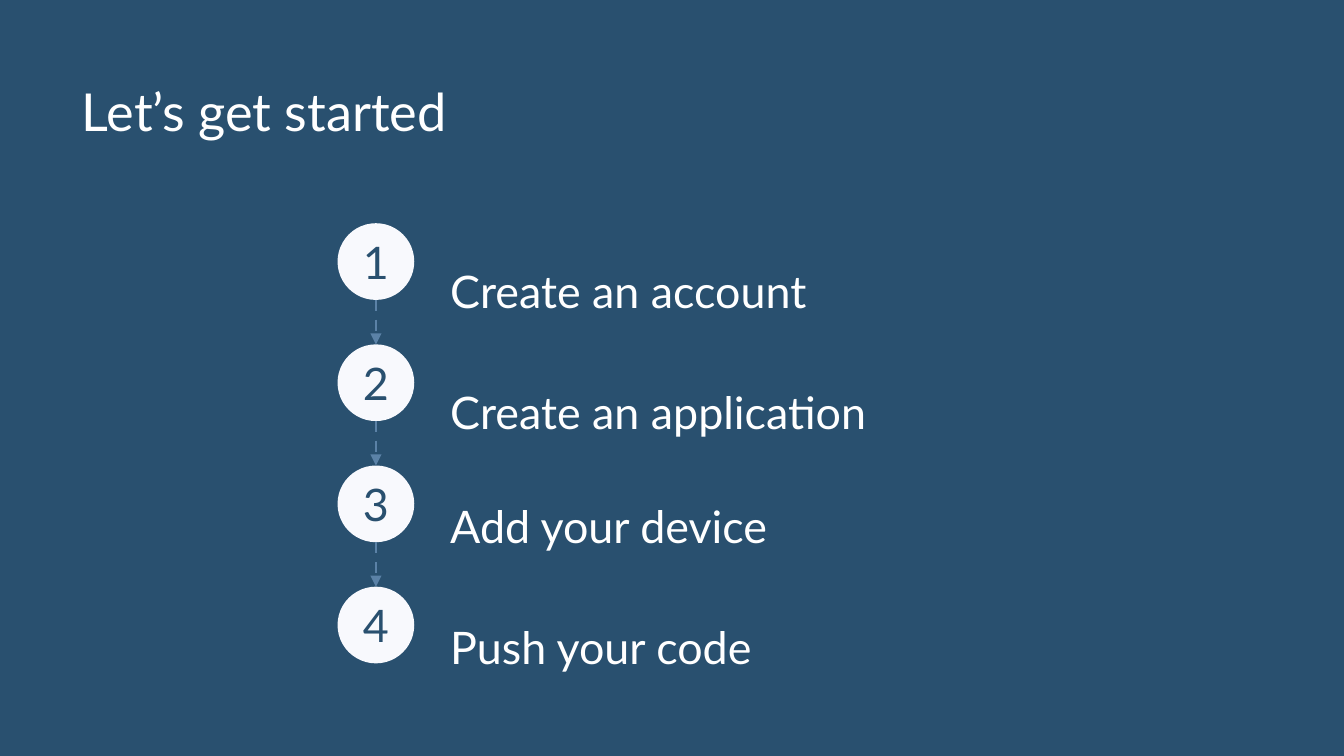
"""Build a slide that lists four numbered steps for getting started."""
from dataclasses import dataclass
from itertools import pairwise

from lxml.etree import SubElement
from pptx import Presentation
from pptx.dml.color import RGBColor
from pptx.enum.dml import MSO_LINE
from pptx.enum.shapes import MSO_CONNECTOR as Connector, MSO_SHAPE as ShapeKind
from pptx.enum.text import MSO_ANCHOR as Anchor, PP_ALIGN as Align
from pptx.oxml.ns import qn
from pptx.shapes.autoshape import Shape
from pptx.slide import Slide
from pptx.util import Cm, Pt

FONT = "Lato"
NAVY, WHITE, PALE, STEEL = "29506F", "FFFFFF", "F8F9FD", "5B82A7"
CIRCLE_LEFT, DIAMETER = 6.38, 1.45
FIRST_TOP, PITCH = 4.22, 2.29
LABEL_LEFT, LABEL_WIDTH, LABEL_HEIGHT = 8.26, 9.42, 1.7


@dataclass
class Step:
    number: int
    label: str
    label_lift: float = 0

    @property
    def top(self) -> float:
        return FIRST_TOP + (self.number - 1) * PITCH


STEPS = [
    Step(1, "Create an account"),
    Step(2, "Create an application"),
    Step(3, "Add your device", label_lift=0.14),
    Step(4, "Push your code", label_lift=0.14),
]


def paint(color_format, color: str) -> None:
    color_format.rgb = RGBColor.from_string(color)


def write(shape: Shape, text: str, *, size: float = 24, color: str = WHITE,
          align: Align = Align.LEFT, anchor: Anchor = Anchor.TOP,
          line_spacing: float = 1.0) -> None:
    frame = shape.text_frame
    frame.word_wrap = True
    frame.vertical_anchor = anchor
    frame.margin_left = frame.margin_right = Cm(0.25)
    frame.margin_top = frame.margin_bottom = Cm(0.25)
    paragraph = frame.paragraphs[0]
    paragraph.alignment = align
    paragraph.line_spacing = line_spacing
    run = paragraph.add_run()
    run.text = text
    run.font.name = FONT
    run.font.size = Pt(size)
    paint(run.font.color, color)


def add_step(slide: Slide, step: Step) -> None:
    label = slide.shapes.add_textbox(
        Cm(LABEL_LEFT), Cm(step.top - step.label_lift), Cm(LABEL_WIDTH), Cm(LABEL_HEIGHT))
    write(label, step.label, line_spacing=1.5)
    circle = slide.shapes.add_shape(
        ShapeKind.OVAL, Cm(CIRCLE_LEFT), Cm(step.top), Cm(DIAMETER), Cm(DIAMETER))
    circle.shadow.inherit = False
    circle.fill.solid()
    paint(circle.fill.fore_color, PALE)
    circle.line.fill.background()
    write(circle, str(step.number), color=NAVY, align=Align.CENTER, anchor=Anchor.MIDDLE)


def add_arrow(slide: Slide, upper: Step, lower: Step) -> None:
    center = Cm(CIRCLE_LEFT + DIAMETER / 2)
    arrow = slide.shapes.add_connector(
        Connector.STRAIGHT, center, Cm(upper.top + DIAMETER), center, Cm(lower.top))
    paint(arrow.line.color, STEEL)
    arrow.line.width = Pt(1.5)
    arrow.line.dash_style = MSO_LINE.DASH
    properties = arrow.element.spPr
    SubElement(properties.find(qn("a:ln")), qn("a:tailEnd"), type="triangle")
    SubElement(properties, qn("a:effectLst"))


def main() -> None:
    presentation = Presentation()
    presentation.slide_width, presentation.slide_height = Cm(25.4), Cm(14.29)
    slide = presentation.slides.add_slide(presentation.slide_layouts[6])
    slide.background.fill.solid()
    paint(slide.background.fill.fore_color, NAVY)

    title = slide.shapes.add_textbox(Cm(1.3), Cm(1.24), Cm(23.67), Cm(1.6))
    write(title, "Let’s get started", size=28)
    for step in STEPS:
        add_step(slide, step)
    for upper, lower in pairwise(STEPS):
        add_arrow(slide, upper, lower)

    presentation.save("out.pptx")


if __name__ == "__main__":
    main()
